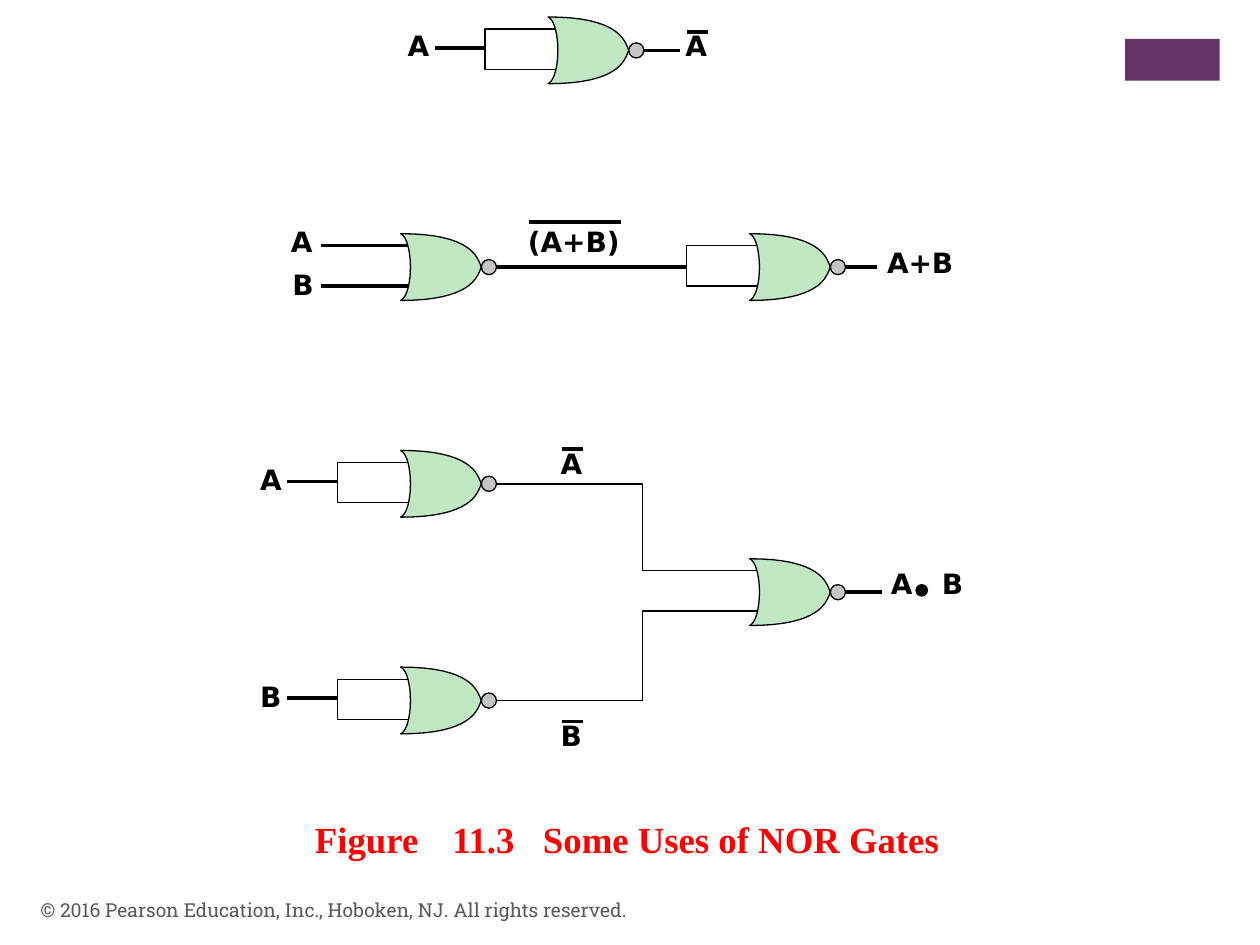
from lxml import etree
from pptx import Presentation
from pptx.dml.color import RGBColor
from pptx.enum.shapes import MSO_CONNECTOR, MSO_SHAPE
from pptx.enum.text import MSO_ANCHOR
from pptx.oxml.ns import qn
from pptx.util import Inches, Pt

LINE = MSO_CONNECTOR.STRAIGHT
RECT = MSO_SHAPE.RECTANGLE
OVAL = MSO_SHAPE.OVAL
MIDDLE = MSO_ANCHOR.MIDDLE

# Grid of 100 columns by 75 rows
COLS, ROWS = 100, 75
CELL = Inches(0.1)
HAIR = Pt(0)
BLACK = "000000"

# Gate geometry, in cells
BODY = 6.4        # width of the gate body
HALF = 2.65       # half its height
DOT = 1.2         # bubble size
PIN = 1.6         # distance of an input from the centre line
TOUCH = 0.6       # where inputs meet the curved back
TIE = 5           # reach of a tied input, left of the gate
LEAD = 4          # length of a single input wire

prs = Presentation()
prs.slide_width, prs.slide_height = COLS * CELL, ROWS * CELL
slide = prs.slides.add_slide(prs.slide_layouts[6])
shapes = slide.shapes


def grid(n):
    return round(n * CELL)


def color(code):
    return RGBColor.from_string(code)


def paint(shape, fill=None, line=BLACK):
    shape.shadow.inherit = False
    if fill:
        shape.fill.solid()
        shape.fill.fore_color.rgb = color(fill)
    else:
        shape.fill.background()
    if line:
        shape.line.color.rgb = color(line)
        shape.line.width = HAIR
    else:
        shape.line.fill.background()


def block(kind, x, y, w, h, fill, line=BLACK):
    paint(shapes.add_shape(kind, *map(grid, (x, y, w, h))), fill, line)


def wire(x1, x2, y):
    link = shapes.add_connector(LINE, grid(x1), grid(y), grid(x2), grid(y))
    link.line.color.rgb = color(BLACK)
    link.line.width = HAIR
    etree.SubElement(link._element.spPr, qn("a:effectLst"))


def trace(points, fill=None, close=False):
    spots = [(grid(x), grid(y)) for x, y in points]
    path = shapes.build_freeform(*spots[0])
    path.add_line_segments(spots[1:], close=close)
    paint(path.convert_to_shape(), fill)


def curve(a, b, c, d, steps=16):
    """Points along a cubic curve, without its last end."""
    for i in range(steps):
        t = i / steps
        s = 1 - t
        yield tuple(s**3 * p + 3 * s * s * t * q + 3 * s * t * t * r + t**3 * u
                    for p, q, r, u in zip(a, b, c, d))


def text(words, x, y, w, h, size=16, font="DejaVu Sans", ink=BLACK,
         bold=True, tabs=()):
    box = shapes.add_textbox(*map(grid, (x, y, w, h)))
    frame = box.text_frame
    frame.word_wrap = True
    frame.margin_left = frame.margin_right = 0
    frame.margin_top = frame.margin_bottom = 0
    para = frame.paragraphs[0]
    if tabs:
        stops = etree.SubElement(para._p.get_or_add_pPr(), qn("a:tabLst"))
        for stop in tabs:
            etree.SubElement(stops, qn("a:tab"), pos=str(grid(stop)), algn="l")
    run = para.add_run()
    run.text = words
    run.font.size, run.font.bold, run.font.name = Pt(size), bold, font
    run.font.color.rgb = color(ink)
    return frame


def label(words, x, y, w=3):
    text(words, x, y, w, 3.2)


def negate(words, x, y, bar=1.7, lift=0.25):
    """A label with a bar over it."""
    label(words, x, y, bar + 1.7)
    wire(x + 0.1, x + 0.1 + bar, y + lift)


# NOR gate: left edge x, centre line y, output wire up to end
def gate(x, y, end=None):
    low, high = (x, y + HALF), (x, y - HALF)
    back, tip = (x + 0.78, y), (x + BODY, y)
    body = [
        *curve(low, (x + 0.7, y + 2.3), (x + 0.78, y + 0.5), back),
        *curve(back, (x + 0.78, y - 0.5), (x + 0.7, y - 2.3), high),
        *curve(high, (x + 5.6, y - HALF), (x + 6.1, y - PIN / 2), tip),
        *curve(tip, (x + 6.1, y + PIN / 2), (x + 5.6, y + HALF), low),
    ]
    trace(body, "BFE7C1", close=True)
    block(OVAL, x + BODY, y - DOT / 2, DOT, DOT, "C5C5C5")
    if end:
        wire(x + BODY + DOT, end, y)


# NOR gate with both inputs tied together
def tied(x, y, end=None):
    top, low = y - PIN - 0.1, y + PIN - 0.1
    trace([(x + TOUCH, top), (x - TIE, top), (x - TIE, low), (x + TOUCH, low)])
    gate(x, y, end)


# Tied gate with a named input
def invert(name, x, y, end=None):
    label(name, x - 11.15, y - 1.7)
    wire(x - TIE - LEAD, x - TIE, y - 0.2)
    tied(x, y, end)


# NOT: one gate
def draw_not(x, y):
    invert("A", x, y, x + 10.5)
    negate("A", x + 10.9, y - 1.7)


# OR: a gate followed by an inverter
def draw_or(x, y, gap):
    for name, mid in (("A", y - 1.7), ("B", y + 1.5)):
        wire(x - 6.3, x + TOUCH, mid)
    label("A", x - 8.7, y - 3.4)
    label("B", x - 8.6, y)
    gate(x, y, x + gap - TIE)
    negate("(A+B)", x + 10.1, y - 3.4, 7.3, -0.2)
    tied(x + gap, y, x + gap + 10.1)
    label("A+B", x + gap + 10.9, y - 1.7, 6.6)


# AND: two inverters feeding a gate
def draw_and(x, y, gap, drop):
    out = x + gap
    for name, side, over in (("A", -1, -3), ("B", 1, 1.4)):
        mid = y + side * drop
        pin = y + side * PIN - 0.1
        invert(name, x, mid)
        trace([(x + BODY + DOT, mid), (x + 19.2, mid), (x + 19.2, pin),
               (out + TOUCH, pin)])
        negate(name, x + 12.7, mid + over)
    gate(out, y, out + 10.5)
    text("A\tB", out + 11.2, y - 2, 10.2, 2.7, tabs=(4.05,))
    block(OVAL, out + 13.2, y - 0.6, 0.9, 0.9, BLACK)


# Caption and footer
def draw_foot(x, y):
    text("Figure\t11.3\tSome Uses of NOR Gates", x, y, 54.7, 3.5, 21,
         "Times New Roman", "FF0000", tabs=(10.9, 18.1))
    note = text("© 2016 Pearson Education, Inc., Hoboken, NJ. All rights reserved.",
                3.2, 70.2, 65, 4, 11, "Roboto Slab", "595959", False)
    note.vertical_anchor = MIDDLE


block(RECT, 89.3, 3.1, 7.5, 3.3, "663366", None)
draw_not(43.5, 4)
draw_or(31.8, 21.2, 27.7)
draw_and(31.8, 47, 27.7, 8.6)
draw_foot(25, 64.8)
prs.save("out.pptx")
